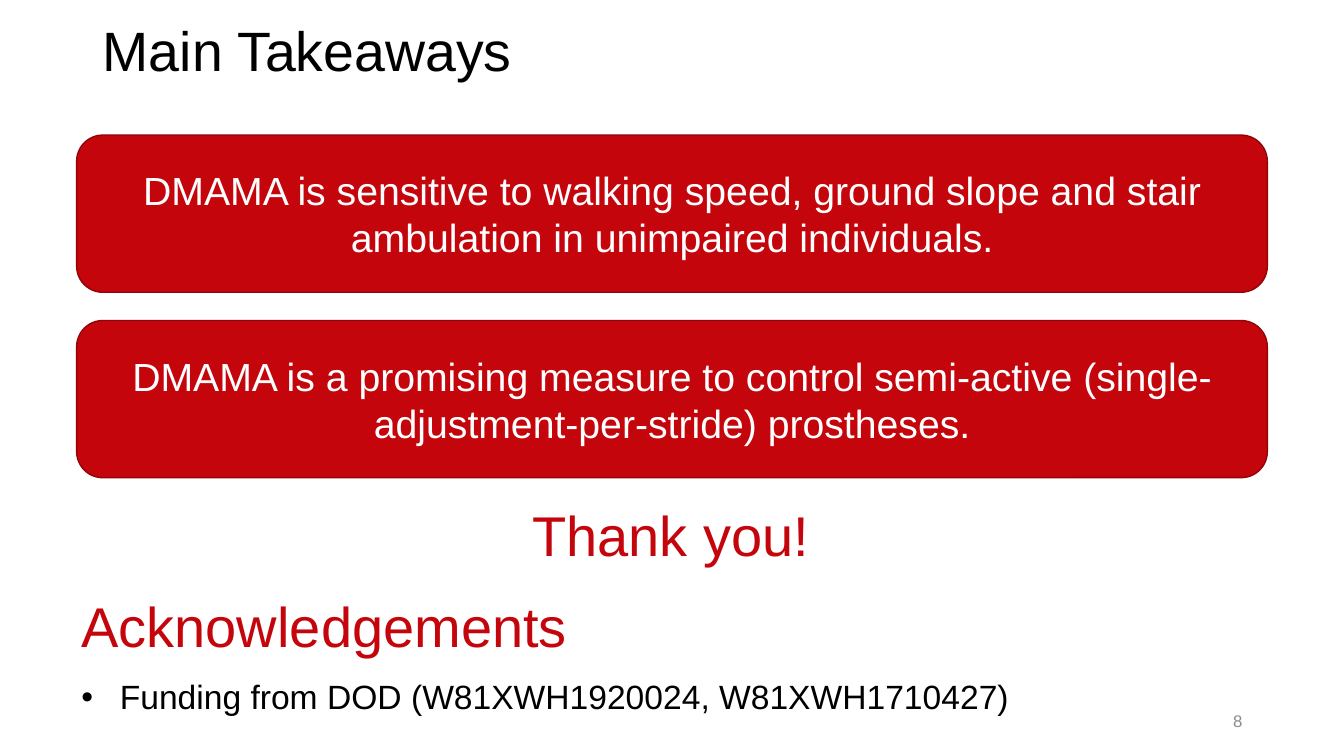
from dataclasses import dataclass

import pptx
import pptx.dml.color
import pptx.enum.shapes
import pptx.enum.text
import pptx.oxml.ns
import pptx.util
from lxml import etree

Inches = pptx.util.Inches
RGB = pptx.dml.color.RGBColor.from_string
ALIGN = pptx.enum.text.PP_ALIGN
ANCHOR = pptx.enum.text.MSO_ANCHOR


@dataclass(frozen=True)
class Theme:
    font: str = "Arial"
    black: str = "000000"
    white: str = "FFFFFF"
    gray: str = "8C8C8C"
    red: str = "C5050C"
    dark_red: str = "920409"
    title_size: float = 39.6
    heading_size: float = 40
    takeaway_size: float = 28
    body_size: float = 24
    number_size: float = 12


class SlideBuilder:
    def __init__(self, prs, theme):
        self.theme = theme
        self.s = prs.slides.add_slide(prs.slide_layouts[5])

    def set_text(self, tf, text, size, color, align=ALIGN.LEFT, anchor=ANCHOR.TOP):
        tf.text = text
        tf.word_wrap = True
        tf.vertical_anchor = anchor
        p = tf.paragraphs[0]
        p.alignment = align
        for r in p.runs:
            r.font.name = self.theme.font
            r.font.size = pptx.util.Pt(size)
            r.font.color.rgb = RGB(color)
        return p

    def title(self, text, left, top, width, height):
        sp = self.s.shapes.title
        sp.left, sp.top = Inches(left), Inches(top)
        sp.width, sp.height = Inches(width), Inches(height)
        p = self.set_text(sp.text_frame, text, self.theme.title_size,
                          self.theme.black, anchor=ANCHOR.MIDDLE)
        p.line_spacing = 0.9

    def takeaway(self, text, left, top, width, height):
        sp = self.s.shapes.add_shape(
            pptx.enum.shapes.MSO_SHAPE.ROUNDED_RECTANGLE,
            Inches(left), Inches(top), Inches(width), Inches(height))
        sp.shadow.inherit = False
        sp.fill.solid()
        sp.fill.fore_color.rgb = RGB(self.theme.red)
        sp.line.color.rgb = RGB(self.theme.dark_red)
        sp.line.width = pptx.util.Pt(1)
        self.set_text(sp.text_frame, text, self.theme.takeaway_size,
                      self.theme.white, ALIGN.CENTER, ANCHOR.MIDDLE)

    def text(self, text, left, top, width, height, size, color, **layout):
        sp = self.s.shapes.add_textbox(
            Inches(left), Inches(top), Inches(width), Inches(height))
        return self.set_text(sp.text_frame, text, size, color, **layout)

    def heading(self, text, left, top, width, height):
        self.text(text, left, top, width, height,
                  self.theme.heading_size, self.theme.red)

    def bullet(self, text, left, top, width, height):
        p = self.text(text, left, top, width, height,
                      self.theme.body_size, self.theme.black)
        pPr = p._p.get_or_add_pPr()
        indent = Inches(0.38)
        pPr.set("marL", str(indent))
        pPr.set("indent", str(-indent))
        qn = pptx.oxml.ns.qn
        etree.SubElement(pPr, qn("a:buFont"), typeface=self.theme.font)
        etree.SubElement(pPr, qn("a:buChar"), char="•")

    def page_number(self, text, left, top, width, height):
        self.text(text, left, top, width, height, self.theme.number_size,
                  self.theme.gray, align=ALIGN.RIGHT, anchor=ANCHOR.MIDDLE)


def main():
    prs = pptx.Presentation()
    prs.slide_width, prs.slide_height = Inches(13.33), Inches(7.5)
    slide = SlideBuilder(prs, Theme())

    slide.title("Main Takeaways", 0.92, 0.18, 11.5, 0.7)
    takeaways = [
        "DMAMA is sensitive to walking speed, ground slope and stair "
        "ambulation in unimpaired individuals.",
        "DMAMA is a promising measure to control semi-active "
        "(single-adjustment-per-stride) prostheses.",
    ]
    for i, text in enumerate(takeaways):
        slide.takeaway(text, 0.76, 1.34 + i * 1.84, 11.81, 1.56)

    slide.heading("Thank you!", 5.18, 4.92, 2.98, 0.77)
    slide.heading("Acknowledgements", 0.71, 5.82, 5.07, 0.77)
    slide.bullet("Funding from DOD (W81XWH1920024, W81XWH1710427)",
                 0.71, 6.66, 9.58, 0.91)
    slide.page_number("8", 9.42, 6.95, 3, 0.4)

    prs.save("out.pptx")


if __name__ == "__main__":
    main()
